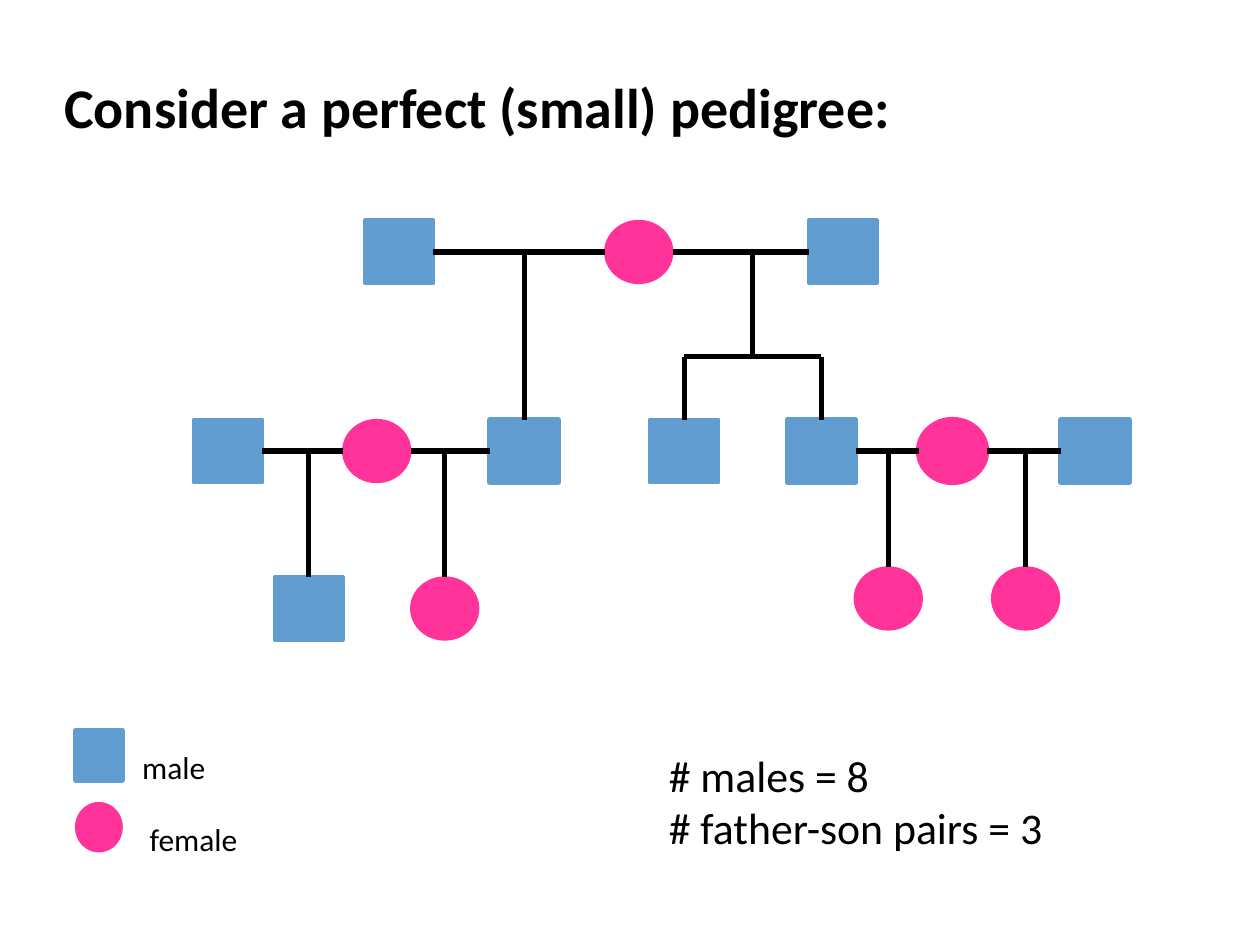
"""Build the slide with a small pedigree, its legend and its counts."""
from itertools import pairwise

from lxml.etree import SubElement
from pptx import Presentation
from pptx.dml.color import RGBColor
from pptx.enum.shapes import MSO_CONNECTOR, MSO_SHAPE
from pptx.enum.text import MSO_ANCHOR, MSO_AUTO_SIZE, PP_ALIGN
from pptx.oxml.ns import qn
from pptx.util import Pt

PX = 9144
BLUE = RGBColor(0x62, 0x9D, 0xD1)
PINK = RGBColor(0xFF, 0x33, 0x99)
BLACK = RGBColor(0, 0, 0)
TOP, LEFT, RIGHT = 0, 1, 3
WIDE, HIGH = 54, 50

TITLE = "Consider a perfect (small) pedigree:"
COUNTS = ["# males = 8", "# father-son pairs = 3"]
KINDS = {
    "male": (MSO_SHAPE.RECTANGLE, BLUE),
    "female": (MSO_SHAPE.OVAL, PINK),
}
PEOPLE = {
    "first": ("male", 290, 175, 2.25),
    "root": ("female", 480, 175, 0.75),
    "second": ("male", 642, 175, 2.25),
    "outer": ("male", 154, 333, 2.25),
    "wife": ("female", 272, 333, 0.75),
    "heir": ("male", 389, 333, 3),
    "lone": ("male", 516, 333, 2.25),
    "twin": ("male", 625, 333, 3),
    "bride": ("female", 729, 333, 3),
    "groom": ("male", 842, 333, 3),
    "grandson": ("male", 218, 458, 2.25),
    "girl": ("female", 326, 458, 0.75),
    "niece": ("female", 678, 450, 0.75),
    "cousin": ("female", 787, 450, 0.75),
}
ROUTES = [
    [("first", RIGHT), (416, 200), ("root", LEFT)],
    [("root", RIGHT), ("second", LEFT)],
    [("outer", RIGHT), ("wife", LEFT)],
    [("wife", RIGHT), ("heir", LEFT)],
    [("twin", RIGHT), ("bride", LEFT)],
    [("bride", RIGHT), ("groom", LEFT)],
    [(416, 200), (416, 258), ("heir", TOP)],
    [(597, 200), (597, 283)],
    [(543, 283), (597, 283), (652, 283)],
    [(543, 283), ("lone", TOP)],
    [(652, 283), ("twin", TOP)],
    [(245, 358), ("grandson", TOP)],
    [(353, 358), ("girl", TOP)],
    [(705, 358), ("niece", TOP)],
    [(814, 358), ("cousin", TOP)],
]
LEGEND = [
    ("male", (60, 580, 37, 39), 3, (103, 589, 75, 41)),
    ("female", (60, 637, 37, 39), 0.75, (109, 646, 96, 41)),
]


def scale(box):
    return [n * PX for n in box]


def style(font, size, bold=False):
    look = {"name": "Calibri", "size": Pt(size), "bold": bold}
    for key, value in look.items():
        setattr(font, key, value)
    font.color.rgb = BLACK


def mark(shapes, kind, box, width):
    form, color = KINDS[kind]
    shape = shapes.add_shape(form, *scale(box))
    shape.shadow.inherit = False
    shape.fill.solid()
    shape.fill.fore_color.rgb = color
    shape.line.color.rgb = color
    shape.line.width = Pt(width)
    return shape


def label(shapes, lines, box, size):
    frame = shapes.add_textbox(*scale(box)).text_frame
    frame.text = "\n".join(lines)
    frame.word_wrap = False
    frame.auto_size = MSO_AUTO_SIZE.SHAPE_TO_FIT_TEXT
    for para in frame.paragraphs:
        style(para.runs[0].font, size)


def point(stop):
    name, side = stop
    if name not in PEOPLE:
        return stop
    left, top = PEOPLE[name][1:3]
    shift = {TOP: (WIDE // 2, 0), LEFT: (0, HIGH // 2), RIGHT: (WIDE, HIGH // 2)}
    return left + shift[side][0], top + shift[side][1]


def link(shapes, start, end, drawn):
    ends = scale(point(start) + point(end))
    line = shapes.add_connector(MSO_CONNECTOR.STRAIGHT, *ends)
    line.line.color.rgb = BLACK
    line.line.width = Pt(3)
    SubElement(line._element.spPr, qn("a:effectLst"))
    for (name, side), join in ((start, line.begin_connect), (end, line.end_connect)):
        if name in PEOPLE and PEOPLE[name][0] == "male":
            join(drawn[name], side)


def main():
    deck = Presentation()
    deck.slide_width, deck.slide_height = scale((1000, 750))
    slide = deck.slides.add_slide(deck.slide_layouts[5])
    shapes = slide.shapes

    title = shapes.title
    title.left, title.top, title.width, title.height = scale((41, 25, 850, 125))
    title.text_frame.text = TITLE
    title.text_frame.vertical_anchor = MSO_ANCHOR.MIDDLE
    para = title.text_frame.paragraphs[0]
    para.alignment = PP_ALIGN.LEFT
    para.line_spacing = 0.9
    style(para.runs[0].font, 32, True)

    drawn = {
        name: mark(shapes, kind, (left, top, WIDE, HIGH), width)
        for name, (kind, left, top, width) in PEOPLE.items()
    }
    for route in ROUTES:
        for start, end in pairwise(route):
            link(shapes, start, end, drawn)

    group = shapes.add_group_shape().shapes
    for kind, box, width, place in LEGEND:
        mark(group, kind, box, width)
        label(group, [kind], place, 18)
    label(shapes, COUNTS, (521, 589, 349, 93), 25)
    deck.save("out.pptx")


if __name__ == "__main__":
    main()
